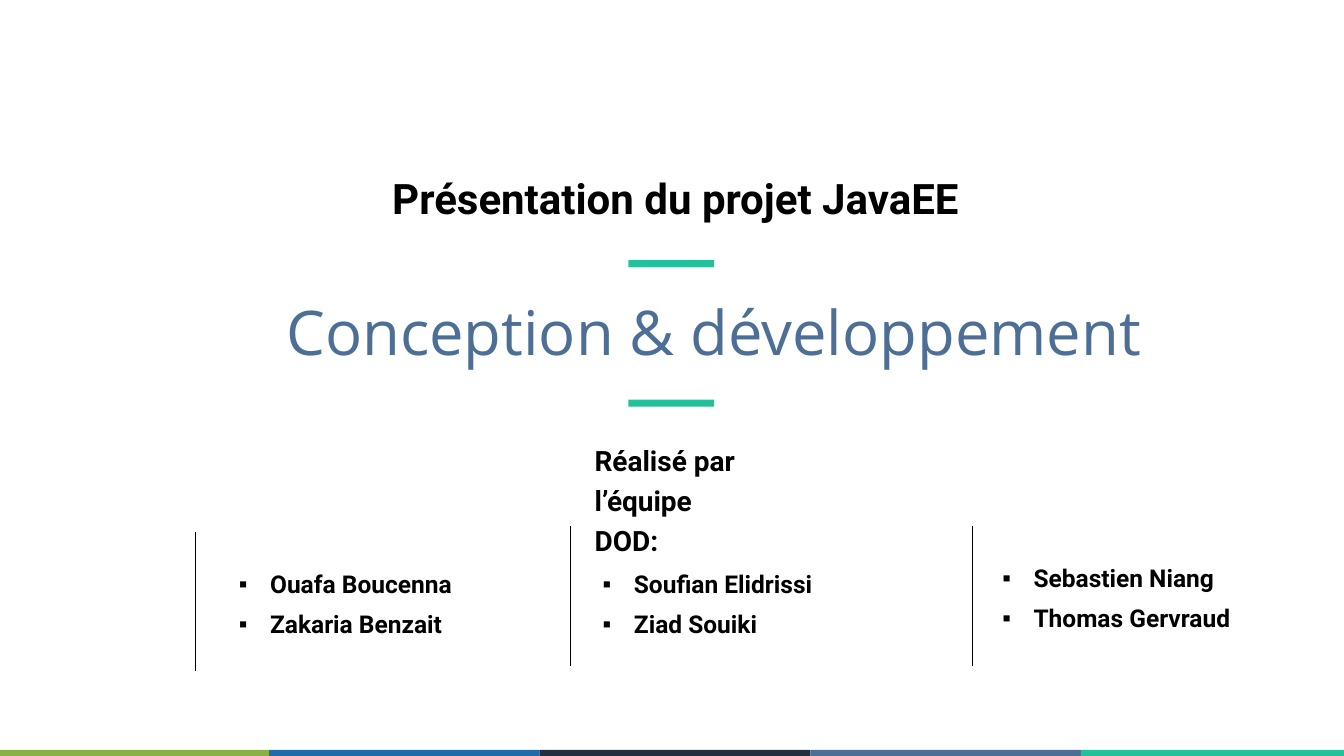
from lxml.etree import SubElement
from pptx import Presentation
from pptx.dml.color import RGBColor
from pptx.enum.dml import MSO_LINE
from pptx.enum.shapes import MSO_CONNECTOR as Connector, MSO_SHAPE as Shape
from pptx.enum.text import MSO_ANCHOR as Anchor, PP_ALIGN as Align
from pptx.oxml.ns import qn
from pptx.util import Inches, Pt

BLACK = RGBColor(0x00, 0x00, 0x00)
GREEN = RGBColor(0x8A, 0xB1, 0x47)
BLUE = RGBColor(0x21, 0x6B, 0xA9)
NAVY = RGBColor(0x21, 0x2F, 0x3F)
SLATE = RGBColor(0x4D, 0x6F, 0x96)
TEAL = RGBColor(0x22, 0xC1, 0x99)


class TitlePage:
    """Holds the slide being built and the text style it uses."""

    font = "Roboto"
    line_spacing = 1.2

    def __init__(self, deck):
        self.page = deck.slides.add_slide(deck.slide_layouts[6])

    def bar(self, left, top, width, height, color):
        bar = self.page.shapes.add_shape(
            Shape.RECTANGLE, Inches(left), Inches(top), Inches(width), Inches(height))
        bar.shadow.inherit = False
        bar.fill.solid()
        bar.fill.fore_color.rgb = color
        bar.line.fill.background()

    def divider(self, left, top, height):
        line = self.page.shapes.add_connector(
            Connector.STRAIGHT, Inches(left), Inches(top), Inches(left), Inches(top + height))
        line.line.color.rgb = BLACK
        line.line.width = Pt(0.25)
        line.line.dash_style = MSO_LINE.ROUND_DOT
        SubElement(line._element.spPr, qn("a:effectLst"))

    def text(self, left, top, width, height, content, size, color=BLACK, font=font,
             bold=True, align=Align.LEFT, anchor=Anchor.TOP, spacing=line_spacing,
             bottom=0.12):
        box = self.page.shapes.add_textbox(
            Inches(left), Inches(top), Inches(width), Inches(height))
        frame = box.text_frame
        frame.word_wrap = True
        frame.vertical_anchor = anchor
        frame.margin_left = frame.margin_right = Inches(0.24)
        frame.margin_top, frame.margin_bottom = Inches(0.12), Inches(bottom)
        frame.text = content
        for para in frame.paragraphs:
            para.alignment = align
            para.line_spacing = spacing
            para.space_before = Pt(size * 0.2)
            for span in para.runs:
                span.font.name = font
                span.font.size = Pt(size)
                span.font.bold = bold
                span.font.color.rgb = color
        return frame

    def names(self, left, top, members):
        frame = self.text(left, top, 12.03, 2.6, "\n".join(members), 35)
        for para in frame.paragraphs:
            props = para._p.get_or_add_pPr()
            props.set("marL", str(Inches(0.62)))
            props.set("indent", str(-Inches(0.62)))
            SubElement(props, qn("a:buFont"), typeface="Arial")
            SubElement(props, qn("a:buChar"), char="▪")


def main():
    deck = Presentation()
    deck.slide_width, deck.slide_height = Inches(26.67), Inches(15)
    title = TitlePage(deck)

    for index, color in enumerate((GREEN, BLUE, NAVY, SLATE, TEAL)):
        title.bar(-0.03 + index * 5.37, 14.88, 5.37, 0.2, color)

    title.text(3.87, 5.73, 20.59, 1.65, "Conception & développement", 88, SLATE,
               "Open Sans", False, Align.CENTER, Anchor.MIDDLE, 1.0)
    title.text(11.56, 8.54, 3.47, 0.86, "Réalisé par l’équipe DOD:", 40)
    for top in (5.16, 7.93):
        title.bar(12.47, top, 1.7, 0.14, TEAL)
    title.text(4.07, 1.92, 18.67, 2.57, "Présentation du projet JavaEE", 60,
               align=Align.CENTER, anchor=Anchor.BOTTOM, bottom=0.06)

    columns = (
        (3.88, 10.55, 4.5, 11.05, ("Ouafa Boucenna", "Zakaria Benzait")),
        (11.31, 10.44, 11.72, 11.05, ("Soufian Elidrissi", "Ziad Souiki")),
        (19.29, 10.44, 19.65, 10.94, ("Sebastien Niang", "Thomas Gervraud")),
    )
    for line_left, line_top, left, top, members in columns:
        title.divider(line_left, line_top, 2.75)
        title.names(left, top, members)

    deck.save("out.pptx")


if __name__ == "__main__":
    main()
